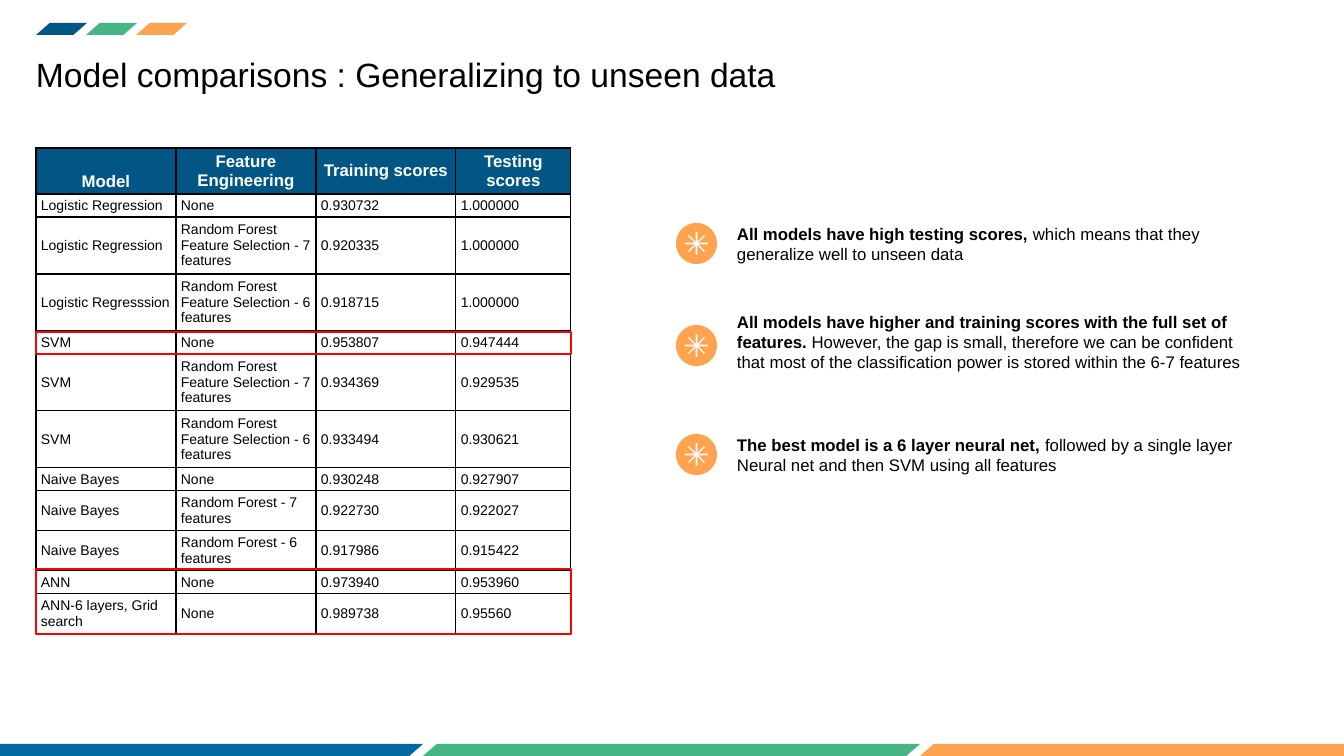
import math
from lxml import etree
from pptx import Presentation
from pptx.dml.color import RGBColor
from pptx.enum.shapes import MSO_SHAPE
from pptx.enum.text import MSO_ANCHOR, MSO_AUTO_SIZE, PP_ALIGN
from pptx.oxml import parse_xml
from pptx.util import Emu, Pt

PARALLELOGRAM = MSO_SHAPE.PARALLELOGRAM
RECTANGLE = MSO_SHAPE.RECTANGLE
MIDDLE, BOTTOM = MSO_ANCHOR.MIDDLE, MSO_ANCHOR.BOTTOM
FIT_SHAPE, NO_FIT = MSO_AUTO_SIZE.SHAPE_TO_FIT_TEXT, MSO_AUTO_SIZE.NONE
LEFT, CENTER = PP_ALIGN.LEFT, PP_ALIGN.CENTER

NAVY = RGBColor(0x01, 0x56, 0x85)
BLUE = RGBColor(0x01, 0x6A, 0xA3)
GREEN = RGBColor(0x46, 0xB6, 0x88)
ORANGE = RGBColor(0xFE, 0xA3, 0x4F)
RED = RGBColor(0xFF, 0x00, 0x00)
BLACK = RGBColor(0x00, 0x00, 0x00)
WHITE = RGBColor(0xFF, 0xFF, 0xFF)
DRAWING = "http://schemas.openxmlformats.org/drawingml/2006/main"
EMU_PER_PX = 914400 / 100.8


def px(length):
    return Emu(round(length * EMU_PER_PX))


def write(frame, text, size=12, color=BLACK, bold=False, align=LEFT,
          anchor=MIDDLE, margins=(0, 0)):
    frame.word_wrap = True
    frame.vertical_anchor = anchor
    frame.margin_left = frame.margin_right = px(margins[0])
    frame.margin_top = frame.margin_bottom = px(margins[1])
    paragraph = frame.paragraphs[0]
    paragraph.alignment = align
    run = paragraph.add_run()
    run.text = text
    run.font.name = "Arial"
    run.font.size = Pt(size)
    run.font.bold = bold
    run.font.color.rgb = color


presentation = Presentation()
presentation.slide_width, presentation.slide_height = px(1344), px(756)
slide = presentation.slides.add_slide(presentation.slide_layouts[5])

title = slide.shapes.title
title.left, title.top, title.width, title.height = px(36), px(54), px(1155), px(40)
write(title.text_frame, "Model comparisons : Generalizing to unseen data", size=24)
title.text_frame.auto_size = NO_FIT

stripe_rows = [
    (36, 23, 51, 50, (NAVY, GREEN, ORANGE)),
    (-74, 744, 497, 497, (BLUE, GREEN, ORANGE)),
]
for left, top, width, step, colors in stripe_rows:
    group = slide.shapes.add_group_shape()
    for index, color in enumerate(colors):
        stripe = group.shapes.add_shape(
            PARALLELOGRAM, px(left + index * step), px(top), px(width), px(12))
        stripe.adjustments[0] = 1.14
        stripe.shadow.inherit = False
        stripe.fill.solid()
        stripe.fill.fore_color.rgb = color
        stripe.line.fill.background()

SELECTION = "Random Forest Feature Selection - {} features"
FOREST = "Random Forest - {} features"
score_rows = [
    (46, "Model", "Feature Engineering", "Training scores", "Testing scores"),
    (23, "Logistic Regression", "None", "0.930732", "1.000000"),
    (57, "Logistic Regression", SELECTION.format(7), "0.920335", "1.000000"),
    (57, "Logistic Regresssion", SELECTION.format(6), "0.918715", "1.000000"),
    (23, "SVM", "None", "0.953807", "0.947444"),
    (57, "SVM", SELECTION.format(7), "0.934369", "0.929535"),
    (57, "SVM", SELECTION.format(6), "0.933494", "0.930621"),
    (23, "Naive Bayes", "None", "0.930248", "0.927907"),
    (40, "Naive Bayes", FOREST.format(7), "0.922730", "0.922027"),
    (40, "Naive Bayes", FOREST.format(6), "0.917986", "0.915422"),
    (23, "ANN", "None", "0.973940", "0.953960"),
    (40, "ANN-6 layers, Grid search", "None", "0.989738", "0.95560"),
]
column_widths = (140, 140, 140, 115)
table = slide.shapes.add_table(
    len(score_rows), len(column_widths), px(36), px(148), px(535), px(486)).table
table.horz_banding = False
for column, width in zip(table.columns, column_widths):
    column.width = px(width)

for row_index, (height, *texts) in enumerate(score_rows):
    table.rows[row_index].height = px(height)
    for column_index, text in enumerate(texts):
        cell = table.cell(row_index, column_index)
        properties = cell._tc.get_or_add_tcPr()
        for side in ("lnL", "lnR", "lnT", "lnB"):
            properties.append(parse_xml(
                f'<a:{side} xmlns:a="{DRAWING}" w="12700"><a:solidFill>'
                f'<a:srgbClr val="{BLACK}"/></a:solidFill></a:{side}>'))
        cell.margin_left = cell.margin_right = px(5)
        cell.margin_top = cell.margin_bottom = px(3)
        cell.vertical_anchor = BOTTOM if text == "Model" else MIDDLE
        if row_index == 0:
            cell.fill.solid()
            cell.fill.fore_color.rgb = NAVY
            style = {"size": 12, "color": WHITE, "bold": True, "align": CENTER}
        else:
            cell.fill.background()
            style = {"size": 10}
        write(cell.text_frame, text, anchor=cell.vertical_anchor, margins=(5, 3), **style)

findings = [
    (223, 223, 41, "All models have high testing scores, ",
     "which means that they generalize well to unseen data"),
    (325, 311, 61, "All models have higher and training scores with the full set of features. ",
     "However, the gap is small, therefore we can be confident that most of the "
     "classification power is stored within the 6-7 features"),
    (434, 434, 41, "The best model is a 6 layer neural net, ",
     "followed by a single layer Neural net and then SVM using all features"),
]
UNITS = 100
RADIUS, SPOKE, HALF_WIDTH = 2050, 1150, 80
NOTCH = HALF_WIDTH / math.sin(math.pi / 8)
disc = [(RADIUS, math.radians(angle)) for angle in range(0, 360, 4)]
star = []
for spoke in range(8):
    angle = -spoke * math.pi / 4
    spread = HALF_WIDTH / SPOKE
    star += [(SPOKE, angle + spread), (SPOKE, angle - spread), (NOTCH, angle - math.pi / 8)]

for icon_top, text_top, text_height, lead, detail in findings:
    center_x, center_y = 676 * UNITS + RADIUS, icon_top * UNITS + RADIUS
    disc_points, star_points = [
        [(round(center_x + radius * math.cos(angle)),
          round(center_y + radius * math.sin(angle))) for radius, angle in outline]
        for outline in (disc, star)]
    builder = slide.shapes.build_freeform(*disc_points[0], scale=EMU_PER_PX / UNITS)
    builder.add_line_segments(disc_points[1:], close=True)
    builder.move_to(*star_points[0])
    builder.add_line_segments(star_points[1:], close=True)
    icon = builder.convert_to_shape()
    icon.shadow.inherit = False
    icon.fill.solid()
    icon.fill.fore_color.rgb = ORANGE
    icon.line.fill.background()

    finding = slide.shapes.add_textbox(px(737), px(text_top), px(519), px(text_height))
    write(finding.text_frame, lead, bold=True)
    write(finding.text_frame, detail)
    finding.text_frame.auto_size = FIT_SHAPE

for top, height in ((569, 65), (332, 22)):
    highlight = slide.shapes.add_shape(RECTANGLE, px(36), px(top), px(535), px(height))
    highlight.shadow.inherit = False
    highlight.fill.background()
    highlight.line.color.rgb = RED
    highlight.line.width = Pt(1)

presentation.save("out.pptx")
